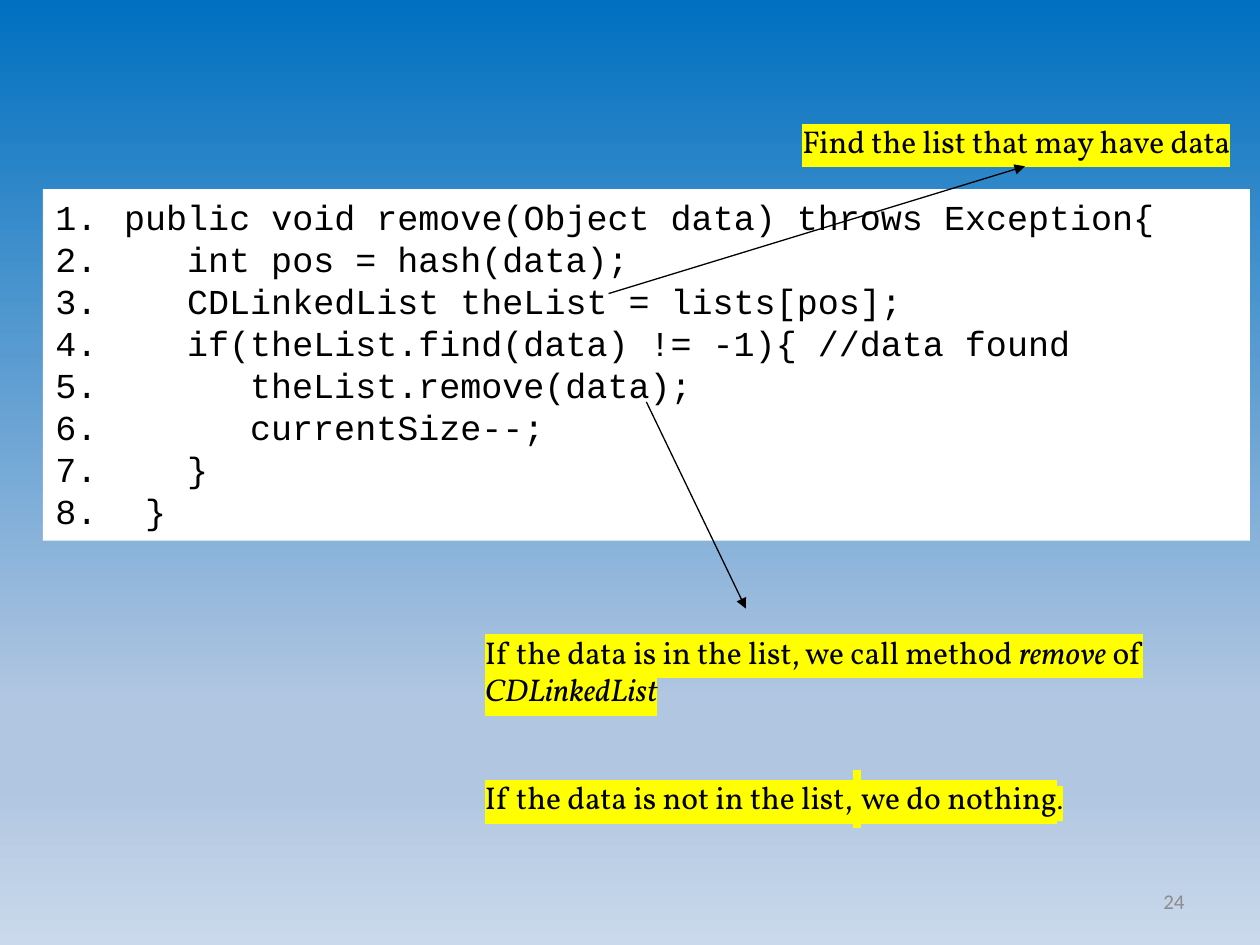
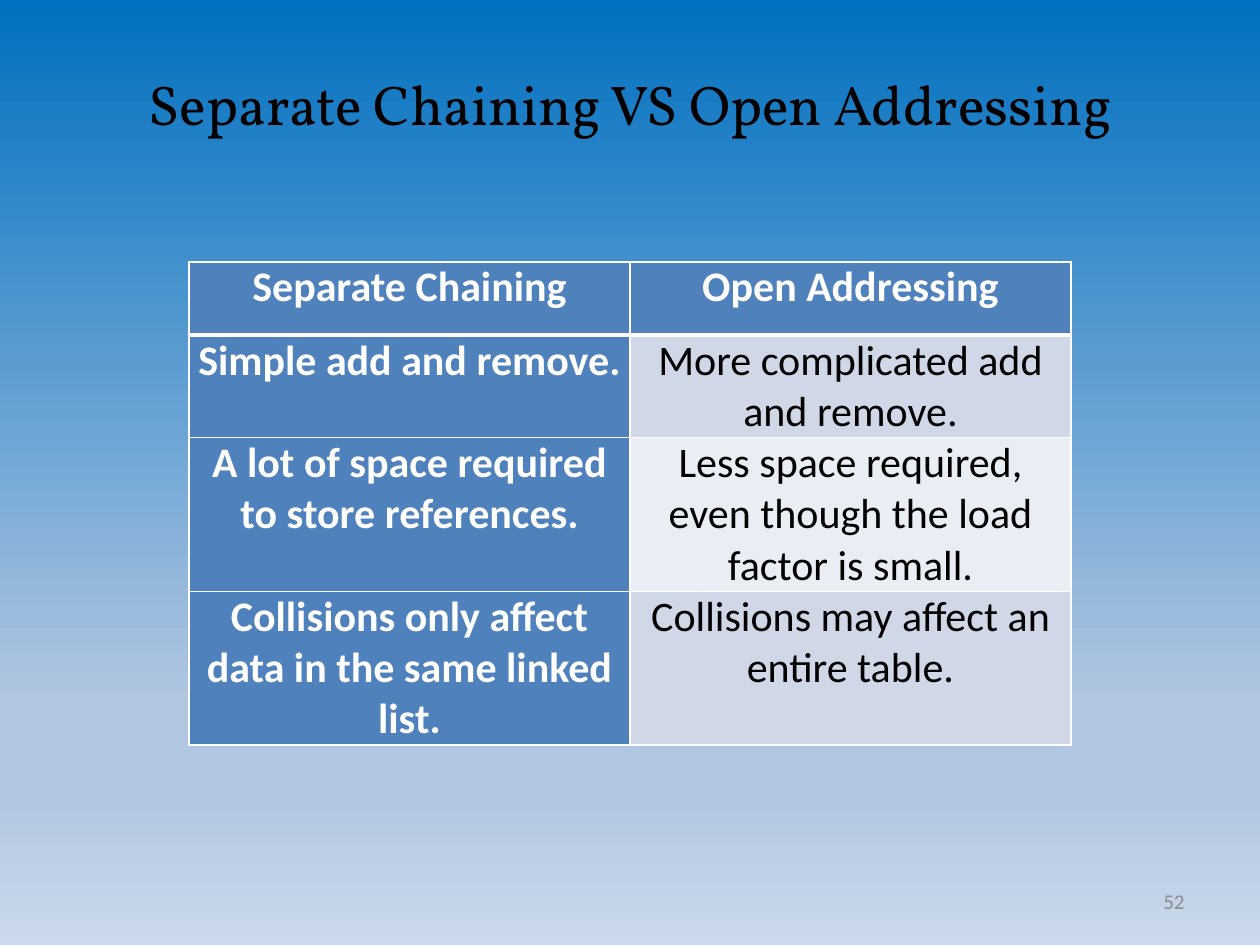
from copy import deepcopy
from lxml.etree import SubElement
from pptx import Presentation
from pptx.dml.color import RGBColor
from pptx.enum.shapes import MSO_CONNECTOR as Connector, MSO_SHAPE as Shape
from pptx.enum.text import MSO_ANCHOR as Anchor, MSO_AUTO_SIZE as AutoSize, PP_ALIGN as Align
from pptx.oxml.ns import qn
from pptx.util import Inches, Pt

BLACK, WHITE, GREY = "000000", "FFFFFF", "8C8C8C"
YELLOW, BLUE = "FFFF00", "4F81BD"
BANDS = ["D0D8E8", "E9EDF4"]
SERIF, SANS, MONO = "Vollkorn", "Calibri", "Courier New"
rgb = RGBColor.from_string


def add_xml(parent, tag, **attributes):
    return SubElement(parent, qn(tag), {key: str(value) for key, value in attributes.items()})


def write(paragraph, text, font=SERIF, size=18, color=BLACK, bold=False, italic=False,
          align=Align.LEFT, highlight=None):
    paragraph.alignment = align
    run = paragraph.add_run()
    run.text = text
    run.font.name = font
    run.font.size = Pt(size)
    run.font.bold = bold
    run.font.italic = italic
    run.font.color.rgb = rgb(color)
    if highlight:
        properties = run.font._element
        marker = add_xml(properties, "a:highlight")
        add_xml(marker, "a:srgbClr", val=highlight)
        properties.find(qn("a:solidFill")).addnext(marker)


prs = Presentation()
prs.slide_width, prs.slide_height = Inches(10), Inches(7.5)

sky = prs.slide_master.background.fill
sky.gradient()
sky.gradient_angle = 270
sky_stops = prs.slide_master.element.xpath(".//p:bg//a:gsLst")[0]
for _ in range(2):
    sky_stops.append(deepcopy(sky_stops[0]))
sky_colors = [(0, "0070C0"), (0.74, "B0C6E1"), (0.83, "B0C6E1"), (1, "CAD9EB")]
for stop, (position, color) in zip(sky.gradient_stops, sky_colors):
    stop.position = position
    stop.color.rgb = rgb(color)

removal = prs.slides.add_slide(prs.slide_layouts[6])
comparison = prs.slides.add_slide(prs.slide_layouts[5])

code = removal.shapes.add_shape(Shape.RECTANGLE, Inches(0.34), Inches(1.5), Inches(9.58), Inches(2.79))
code.shadow.inherit = False
code.fill.solid()
code.fill.fore_color.rgb = rgb(WHITE)
code.line.fill.background()
code.text_frame.word_wrap = True
code.text_frame.vertical_anchor = Anchor.TOP
code_lines = [
    (1, "public void remove(Object data) throws Exception{"),
    (4, "int pos = hash(data);"),
    (4, "CDLinkedList theList = lists[pos];"),
    (4, "if(theList.find(data) != -1){ //data found"),
    (7, "theList.remove(data);"),
    (7, "currentSize--;"),
    (4, "}"),
    (2, "}"),
]
for number, (depth, statement) in enumerate(code_lines):
    line = code.text_frame.add_paragraph() if number else code.text_frame.paragraphs[0]
    write(line, statement, font=MONO, size=20)
    indent = Inches(0.38) + depth * Pt(12)
    layout = line._p.get_or_add_pPr()
    layout.set("marL", str(indent))
    layout.set("indent", str(-indent))
    add_xml(layout, "a:buFont", typeface=MONO)
    add_xml(layout, "a:buAutoNum", type="arabicPeriod")

find_note = removal.shapes.add_textbox(Inches(6.27), Inches(0.92), Inches(3.73), Inches(0.4))
find_note.text_frame.word_wrap = True
write(find_note.text_frame.paragraphs[0], "Find the list that may have data", highlight=YELLOW)

outcomes = removal.shapes.add_textbox(Inches(3.75), Inches(4.67), Inches(6.08), Inches(2.19))
outcomes.text_frame.word_wrap = True
outcomes.text_frame.margin_top = Inches(0.35)
found = outcomes.text_frame.paragraphs[0]
for text, italic in [("If the data is in the list, we call method ", False), ("remove", True),
                     (" of ", False), ("CDLinkedList", True)]:
    write(found, text, italic=italic, highlight=YELLOW)
missing = outcomes.text_frame.add_paragraph()
missing.space_before = Pt(34)
for text, size in [("If the data is not in the list,", 18), (" ", 24), ("we do nothing", 18), (".", 14)]:
    write(missing, text, size=size, highlight=YELLOW)

arrows = []
for x1, y1, x2, y2 in [(4.83, 2.33, 8.14, 1.32), (5.13, 3.19, 5.92, 4.83)]:
    arrow = removal.shapes.add_connector(Connector.STRAIGHT, Inches(x1), Inches(y1), Inches(x2), Inches(y2))
    arrow.line.color.rgb = rgb(BLACK)
    arrow.line.width = Pt(0.75)
    add_xml(arrow._element.xpath(".//a:ln")[0], "a:tailEnd", type="triangle")
    add_xml(arrow._element.spPr, "a:effectLst")
    arrows.append(arrow)
arrows[0].end_connect(find_note, 2)

title = comparison.shapes.title
title.left, title.top, title.width, title.height = Inches(1.08), Inches(0.5), Inches(8.27), Inches(0.64)
title.text_frame.word_wrap = True
title.text_frame.auto_size = AutoSize.NONE
title.text_frame.vertical_anchor = Anchor.TOP
write(title.text_frame.paragraphs[0], "Separate Chaining VS Open Addressing", size=32)

contrasts = [
    ("Separate Chaining", "Open Addressing"),
    ("Simple add and remove.", "More complicated add and remove."),
    ("A lot of space required to store references.",
     "Less space required, even though the load factor is small."),
    ("Collisions only affect data in the same linked list.", "Collisions may affect an entire table."),
]
table = comparison.shapes.add_table(4, 2, Inches(1.5), Inches(2.08), Inches(7), Inches(3.5)).table
for row, height in zip(table.rows, [0.58, 0.58, 1.17, 1.17]):
    row.height = Inches(height)
for r, contrast in enumerate(contrasts):
    for c, text in enumerate(contrast):
        cell = table.cell(r, c)
        cell.margin_left = cell.margin_right = Inches(0.07)
        cell.margin_top = cell.margin_bottom = 0
        for side in "LRTB":
            under_header = (r, side) in [(0, "B"), (1, "T")]
            border = add_xml(cell._tc.get_or_add_tcPr(), f"a:ln{side}", w=Pt(3 if under_header else 1))
            add_xml(add_xml(border, "a:solidFill"), "a:srgbClr", val=WHITE)
        heading = r == 0 or c == 0
        cell.fill.solid()
        cell.fill.fore_color.rgb = rgb(BLUE if heading else BANDS[(r - 1) % 2])
        write(cell.text_frame.paragraphs[0], text, font=SANS, size=24, bold=heading,
              color=WHITE if heading else BLACK, align=Align.CENTER)

for slide, page in [(removal, "24"), (comparison, "52")]:
    page_number = slide.shapes.add_textbox(Inches(7.17), Inches(6.95), Inches(2.33), Inches(0.4))
    page_number.text_frame.word_wrap = True
    page_number.text_frame.vertical_anchor = Anchor.MIDDLE
    write(page_number.text_frame.paragraphs[0], page, font=SANS, size=12, color=GREY, align=Align.RIGHT)

prs.save("out.pptx")
